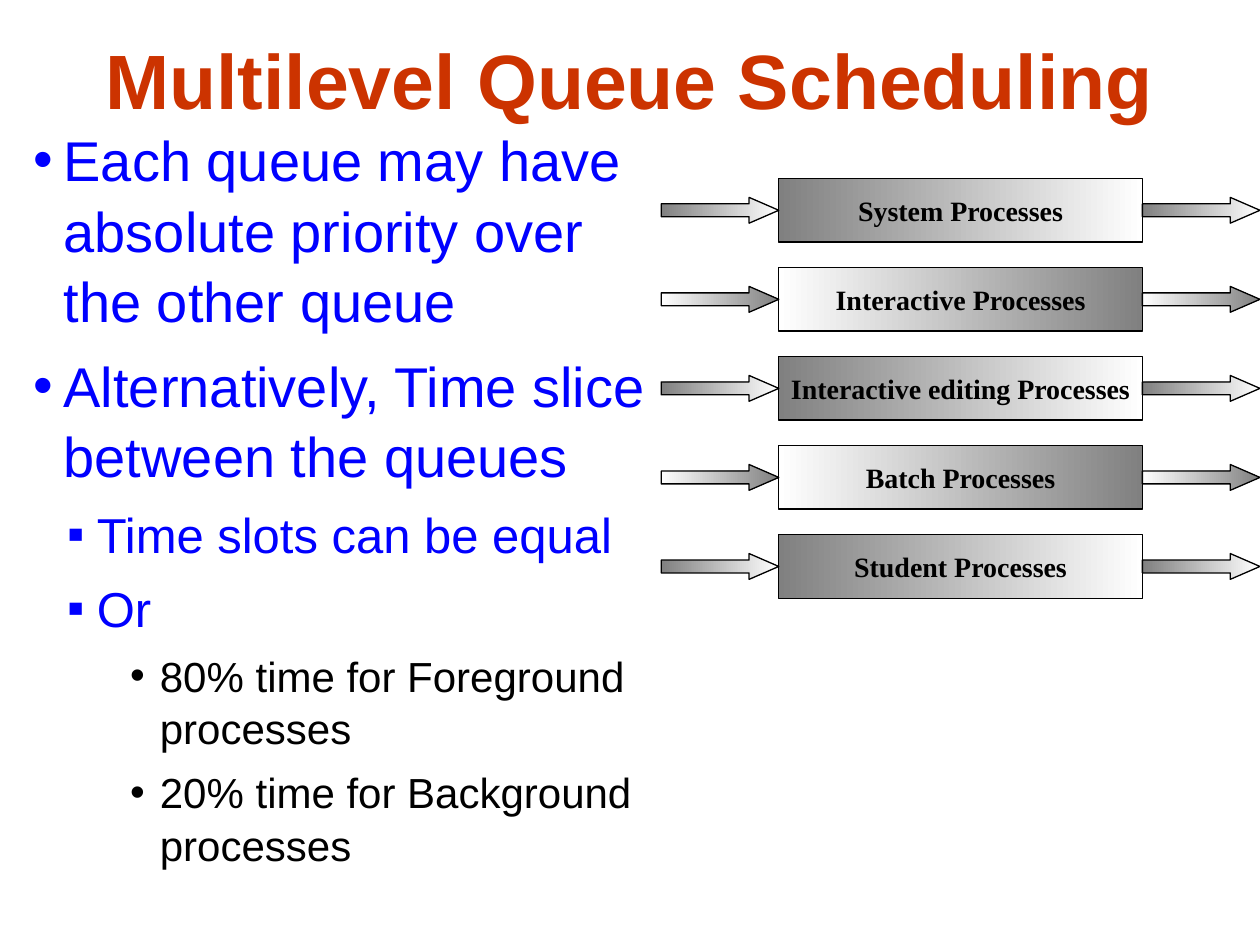
from lxml import etree
from pptx import Presentation
from pptx import util as u
from pptx.dml.color import RGBColor
from pptx.enum import shapes, text
from pptx.oxml import ns

RUST = RGBColor(0xCC, 0x33, 0x00)
BLUE = RGBColor(0x00, 0x00, 0xFF)
BLACK = RGBColor(0x00, 0x00, 0x00)
GREY = RGBColor(0x80, 0x80, 0x80)
WHITE = RGBColor(0xFF, 0xFF, 0xFF)

HEADING = "Multilevel Queue Scheduling"
POINTS = [
    (0, "Each queue may have absolute priority over the other queue"),
    (0, "Alternatively, Time slice between the queues"),
    (1, "Time slots can be equal"),
    (1, "Or"),
    (2, "80% time for Foreground processes"),
    (2, "20% time for Background processes"),
]
# level: (size, space before, left margin, bullet, colour)
LEVELS = {
    0: (32, 8, u.Cm(0.6), "•", BLUE),
    1: (28, 7, u.Cm(1.27), "▪", BLUE),
    2: (24, 6, u.Cm(2.54), "•", BLACK),
}
HANGING = u.Cm(0.6)
QUEUES = [
    "System Processes",
    "Interactive Processes",
    "Interactive editing Processes",
    "Batch Processes",
    "Student Processes",
]


def place(part, box):
    part.left, part.top, part.width, part.height = box


def style_font(font, name, size, colour, bold=False):
    font.name = name
    font.size = u.Pt(size)
    font.bold = bold
    font.color.rgb = colour


def set_bullet(paragraph, margin, mark, colour):
    props = paragraph._p.get_or_add_pPr()
    props.set("marL", str(margin))
    props.set("indent", str(-HANGING))
    tint = etree.SubElement(props, ns.qn("a:buClr"))
    etree.SubElement(tint, ns.qn("a:srgbClr"), val=str(colour))
    etree.SubElement(props, ns.qn("a:buFont"), typeface="Arial")
    etree.SubElement(props, ns.qn("a:buChar"), char=mark)


def add_heading(slide, box):
    heading = slide.shapes.title
    place(heading, box)
    frame = heading.text_frame
    frame.text = HEADING
    frame.auto_size = text.MSO_AUTO_SIZE.NONE
    frame.vertical_anchor = text.MSO_ANCHOR.MIDDLE
    line = frame.paragraphs[0]
    line.alignment = text.PP_ALIGN.CENTER
    style_font(line.runs[0].font, "Arial", 44, RUST, bold=True)


def add_points(slide, box):
    points = slide.placeholders[1]
    place(points, box)
    frame = points.text_frame
    frame.text = "\n".join(wording for _, wording in POINTS)
    frame.auto_size = text.MSO_AUTO_SIZE.NONE
    frame.vertical_anchor = text.MSO_ANCHOR.TOP
    for point, (level, _) in zip(frame.paragraphs, POINTS):
        size, before, margin, mark, colour = LEVELS[level]
        point.level = level
        point.line_spacing = 1.05
        point.space_before = u.Pt(before)
        set_bullet(point, margin, mark, colour)
        style_font(point.runs[0].font, "Arial", size, colour)


def add_shaded(diagram, outline, box, shades):
    shaded = diagram.shapes.add_shape(outline, *box)
    shaded.shadow.inherit = False
    shaded.fill.gradient()
    shaded.fill.gradient_angle = 0
    for stop, shade in zip(shaded.fill.gradient_stops, shades):
        stop.color.rgb = shade
    shaded.line.color.rgb = BLACK
    shaded.line.width = u.Pt(0.75)
    return shaded


def add_queue(diagram, box, label, shades):
    left, top, width, height = box
    arrow_width, arrow_height = u.Cm(2.37), u.Cm(0.52)
    queue_width = width - 2 * arrow_width
    queue = add_shaded(diagram, shapes.MSO_SHAPE.RECTANGLE,
                       (left + arrow_width, top, queue_width, height), shades)
    frame = queue.text_frame
    frame.text = label
    frame.word_wrap = False
    frame.vertical_anchor = text.MSO_ANCHOR.MIDDLE
    line = frame.paragraphs[0]
    line.alignment = text.PP_ALIGN.CENTER
    style_font(line.runs[0].font, "Times New Roman", 16, BLACK, bold=True)

    arrow_top = top + (height - arrow_height) // 2
    for arrow_left in (left, left + arrow_width + queue_width):
        arrow = add_shaded(diagram, shapes.MSO_SHAPE.RIGHT_ARROW,
                           (arrow_left, arrow_top, arrow_width, arrow_height), shades)
        arrow.adjustments[0] = 0.5
        arrow.adjustments[1] = 1.15


def add_queues(slide, box):
    left, top, width, height = box
    queue_height = u.Cm(1.28)
    pitch = (height - queue_height) // (len(QUEUES) - 1)
    diagram = slide.shapes.add_group_shape()
    for row, label in enumerate(QUEUES):
        shades = (WHITE, GREY) if row % 2 else (GREY, WHITE)
        add_queue(diagram, (left, top + row * pitch, width, queue_height), label, shades)


def main():
    deck = Presentation()
    deck.slide_width, deck.slide_height = u.Cm(25.4), u.Cm(19.05)
    slide = deck.slides.add_slide(deck.slide_layouts[1])
    add_heading(slide, (u.Cm(1.27), u.Cm(0), u.Cm(22.86), u.Cm(3.18)))
    add_queues(slide, (u.Cm(13.33), u.Cm(3.6), u.Cm(12.07), u.Cm(8.46)))
    add_points(slide, (u.Cm(0.43), u.Cm(2.34), u.Cm(13.34), u.Cm(14.68)))
    deck.save("out.pptx")


if __name__ == "__main__":
    main()
